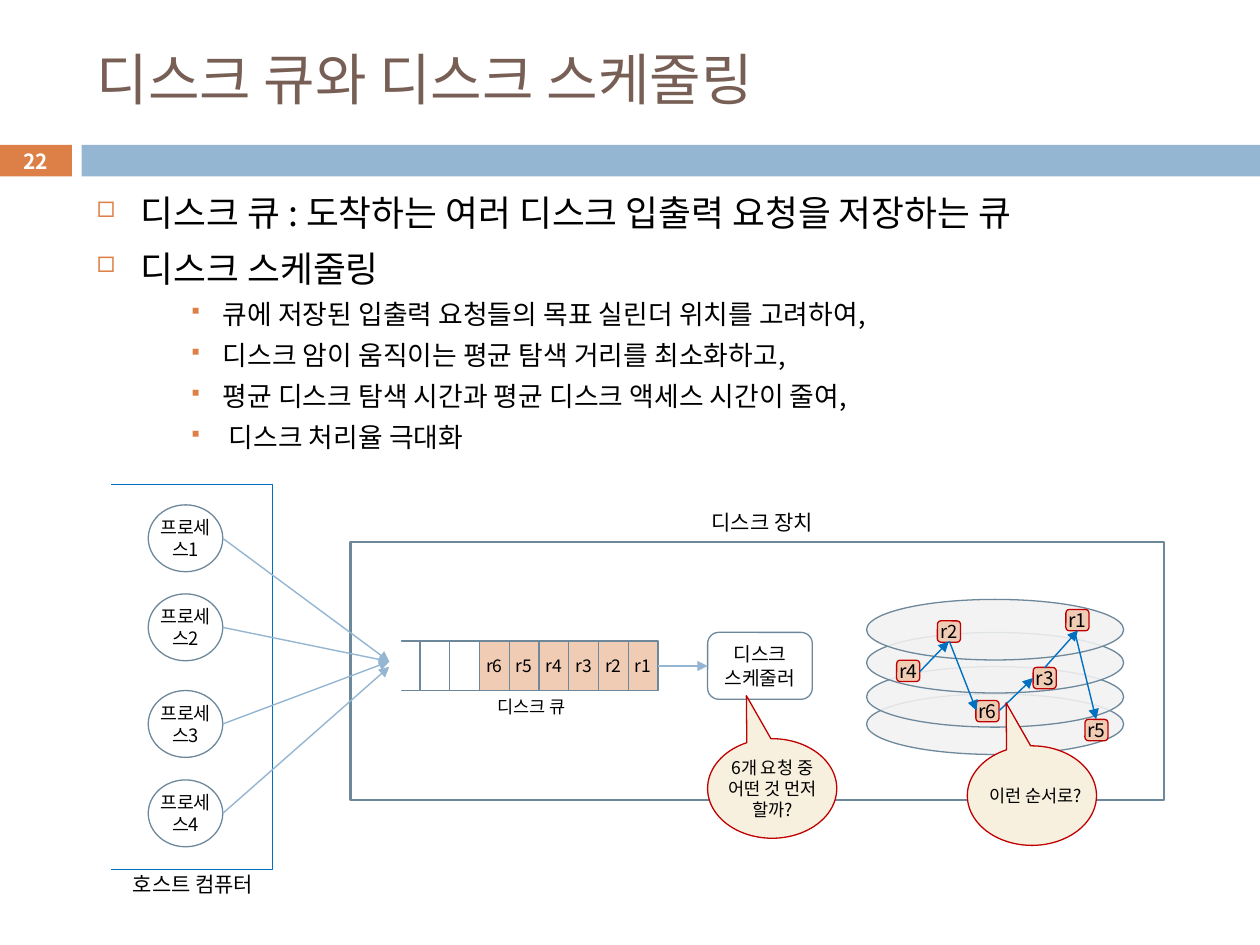
from lxml.etree import SubElement
from pptx import Presentation
from pptx.dml.color import RGBColor
from pptx.enum.shapes import MSO_CONNECTOR, MSO_SHAPE as Kind
from pptx.enum.text import MSO_ANCHOR as Anchor, PP_ALIGN as Align
from pptx.oxml.ns import qn
from pptx.util import Pt

FONT = "Noto Sans CJK KR"
BULLET_FONT = "Wingdings"
BLACK = RGBColor(0x00, 0x00, 0x00)
WHITE = RGBColor(0xFF, 0xFF, 0xFF)
BROWN = RGBColor(0x77, 0x5F, 0x55)
ORANGE = RGBColor(0xDD, 0x80, 0x47)
LIGHT_BLUE = RGBColor(0x94, 0xB6, 0xD2)
SLATE = RGBColor(0x6D, 0x87, 0x9B)
BLUE = RGBColor(0x00, 0x70, 0xC0)
RED = RGBColor(0xC0, 0x00, 0x00)
PEACH = RGBColor(0xF1, 0xCC, 0xB5)
CREAM = RGBColor(0xF7, 0xF0, 0xDE)
GRAY = RGBColor(0xF2, 0xF2, 0xF2)

presentation = Presentation()
presentation.slide_width, presentation.slide_height = Pt(720), Pt(540)
slide = presentation.slides.add_slide(presentation.slide_layouts[6])
shapes = slide.shapes


def write(shape, text, size, color=BLACK, bold=False, align=Align.CENTER,
          anchor=Anchor.MIDDLE, inset=None, bullets=None):
    """Fill a shape with one paragraph per line.

    bullets holds one (character, percent, indent, hanging, space before) per line.
    """
    frame = shape.text_frame
    frame.word_wrap = True
    frame.vertical_anchor = anchor
    if inset is not None:
        frame.margin_left = frame.margin_right = Pt(inset)
        frame.margin_top = frame.margin_bottom = Pt(inset)
    sizes = size if isinstance(size, list) else [size] * len(text.split("\n"))
    for index, line in enumerate(text.split("\n")):
        paragraph = frame.paragraphs[0] if index == 0 else frame.add_paragraph()
        paragraph.alignment = align
        if bullets:
            character, percent, indent, hanging, space = bullets[index]
            properties = paragraph._p.get_or_add_pPr()
            properties.set("marL", str(Pt(indent)))
            properties.set("indent", str(-Pt(hanging)))
            bullet_color = SubElement(properties, qn("a:buClr"))
            SubElement(bullet_color, qn("a:srgbClr"), val=str(ORANGE))
            SubElement(properties, qn("a:buSzPct"), val=str(percent * 1000))
            SubElement(properties, qn("a:buFont"), typeface=BULLET_FONT, charset="2")
            SubElement(properties, qn("a:buChar"), char=character)
            if index:
                paragraph.space_before = Pt(space)
        run = paragraph.add_run()
        run.text = line
        run.font.size = Pt(sizes[index])
        run.font.bold = bold
        run.font.color.rgb = color
        run.font.name = FONT
        run_properties = run._r.get_or_add_rPr()
        run_properties.set("kern", "0")
        SubElement(run_properties, qn("a:ea"), typeface=FONT)


def add_shape(kind, left, top, width, height, fill=None, line=None, weight=0.75):
    shape = shapes.add_shape(kind, Pt(left), Pt(top), Pt(width), Pt(height))
    shape.shadow.inherit = False
    if fill is None:
        shape.fill.background()
    else:
        shape.fill.solid()
        shape.fill.fore_color.rgb = fill
    if line is None:
        shape.line.fill.background()
    else:
        shape.line.color.rgb = line
        shape.line.width = Pt(weight)
    return shape


# Header band, title and page number
number_box = add_shape(Kind.RECTANGLE, -0.7, 82.8, 41.8, 18, ORANGE)
write(number_box, "22", 11.9, WHITE, bold=True, inset=0)
add_shape(Kind.RECTANGLE, 46.6, 82.8, 673.4, 18, LIGHT_BLUE)
title = shapes.add_textbox(Pt(48.2), Pt(18), Pt(642), Pt(53.3))
write(title, "디스크 큐와 디스크 스케줄링", 32, BROWN, align=Align.LEFT)

# Bulleted text
main_bullet = ("¨", 60, 25.2, 25.2, 7)
sub_bullet = ("§", 75, 72, 18, 5)
body_lines = [
    "디스크 큐 : 도착하는 여러 디스크 입출력 요청을 저장하는 큐",
    "디스크 스케줄링",
    "큐에 저장된 입출력 요청들의 목표 실린더 위치를 고려하여,",
    "디스크 암이 움직이는 평균 탐색 거리를 최소화하고,",
    "평균 디스크 탐색 시간과 평균 디스크 액세스 시간이 줄여,",
    " 디스크 처리율 극대화",
]
body = shapes.add_textbox(Pt(48.2), Pt(105.8), Pt(642), Pt(148.3))
write(body, "\n".join(body_lines), [20.4] * 2 + [15.3] * 4, align=Align.LEFT,
      anchor=Anchor.TOP, bullets=[main_bullet] * 2 + [sub_bullet] * 4)

# Host computer, open on its left side
add_shape(Kind.RECTANGLE, 56.2, 277, 99.4, 219.8, WHITE, BLUE)
add_shape(Kind.RECTANGLE, 49, 275.8, 14.4, 229, WHITE)

# Disk queue, open on its left side
CELL = 17
queue = [None, None, None, "r6", "r5", "r4", "r3", "r2", "r1"]
for index, request in enumerate(queue):
    cell = add_shape(Kind.RECTANGLE, 223 + index * CELL, 366.2, CELL, 28.2,
                     PEACH if request else None, SLATE)
    if request:
        write(cell, request, 10, inset=0)
add_shape(Kind.RECTANGLE, 222.3, 355, 7, 45.4, WHITE)

# Disk device and scheduler
scheduler = add_shape(Kind.ROUNDED_RECTANGLE, 404.4, 361.4, 59.8, 38.2, line=SLATE)
write(scheduler, "디스크\n스케줄러", 11, inset=0)
add_shape(Kind.RECTANGLE, 200.2, 309.8, 464.9, 147.4, line=SLATE, weight=1.5)

# Platters, lowest first
for top in (396.5, 380.9, 361.4, 342.5):
    platter = add_shape(Kind.OVAL, 495.2, top, 146.9, 34.6, GRAY, SLATE)
    platter_color = platter.fill._xPr.find(".//" + qn("a:srgbClr"))
    SubElement(platter_color, qn("a:alpha"), val="87000")

# Processes
arrows = [(375.8, 380.6, 404.4, 380.6, LIGHT_BLUE)]
for number, top in enumerate((288.5, 339.4, 394.6, 445.7), start=1):
    process = add_shape(Kind.OVAL, 84.7, top, 42.6, 38.2, line=SLATE)
    write(process, f"프로세스{number}", 10.5, inset=0)
    arrows.append((127.3, top + 19.1, 222.5, 381 if number == 4 else 378, LIGHT_BLUE))

# Requests on the platters
requests = [("r1", 609.1, 348.3, 11), ("r2", 535.7, 354.8, 10.5), ("r3", 590.4, 381.4, 11),
            ("r4", 512.4, 377.3, 11), ("r6", 557.7, 400.3, 11), ("r5", 620, 411.1, 11)]
for request, left, top, size in requests:
    box = add_shape(Kind.ROUNDED_RECTANGLE, left, top, 13.2, 12.2, PEACH, RED)
    write(box, request, size, inset=0)

# Arrows: process to queue, queue to scheduler, request to request
arrows += [
    (525.6, 383.8, 542.2, 366.5, BLUE),
    (542.5, 366.5, 558, 406.1, BLUE),
    (571, 406.1, 590.4, 387.4, BLUE),
    (596.9, 381.6, 616, 360.2, BLUE),
    (614.2, 361.2, 626.4, 411.1, BLUE),
]
for start_x, start_y, end_x, end_y, color in arrows:
    arrow = shapes.add_connector(MSO_CONNECTOR.STRAIGHT, Pt(start_x), Pt(start_y),
                                 Pt(end_x), Pt(end_y))
    arrow.line.color.rgb = color
    arrow.line.width = Pt(0.79)
    SubElement(arrow.line._get_or_add_ln(), qn("a:tailEnd"), type="triangle")
    SubElement(arrow._element.spPr, qn("a:effectLst"))

# Callouts
callouts = [("6개 요청 중 어떤 것 먼저 할까?", 404.4, 422.1),
            ("이런 순서로?", 552.8, 426.2)]
for text, left, top in callouts:
    callout = add_shape(Kind.OVAL_CALLOUT, left, top, 73.8, 56.9, CREAM, RED)
    callout.adjustments[0] = -0.2
    callout.adjustments[1] = -0.932
    write(callout, text, 10, inset=0)

# Labels
labels = [("디스크 장치", 399.6, 287.5, 79.2, 12, Align.LEFT),
          ("디스크 큐", 277.2, 394.2, 58.3, 10, Align.LEFT),
          ("호스트 컴퓨터", 54.5, 494.6, 111.6, 12, Align.CENTER)]
for text, left, top, width, size, align in labels:
    label = shapes.add_textbox(Pt(left), Pt(top), Pt(width), Pt(21.6))
    write(label, text, size, align=align, anchor=Anchor.TOP)

presentation.save("out.pptx")
